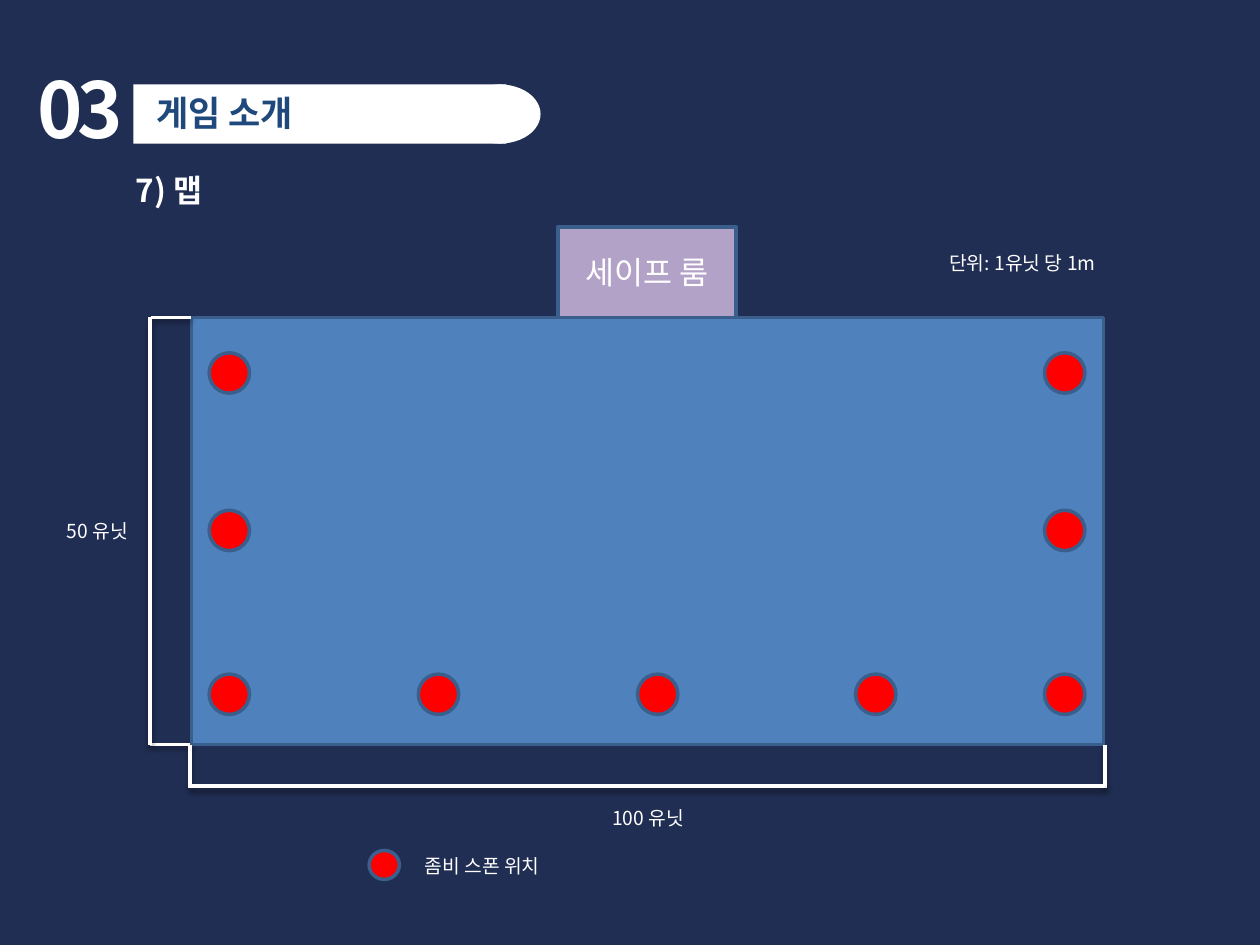
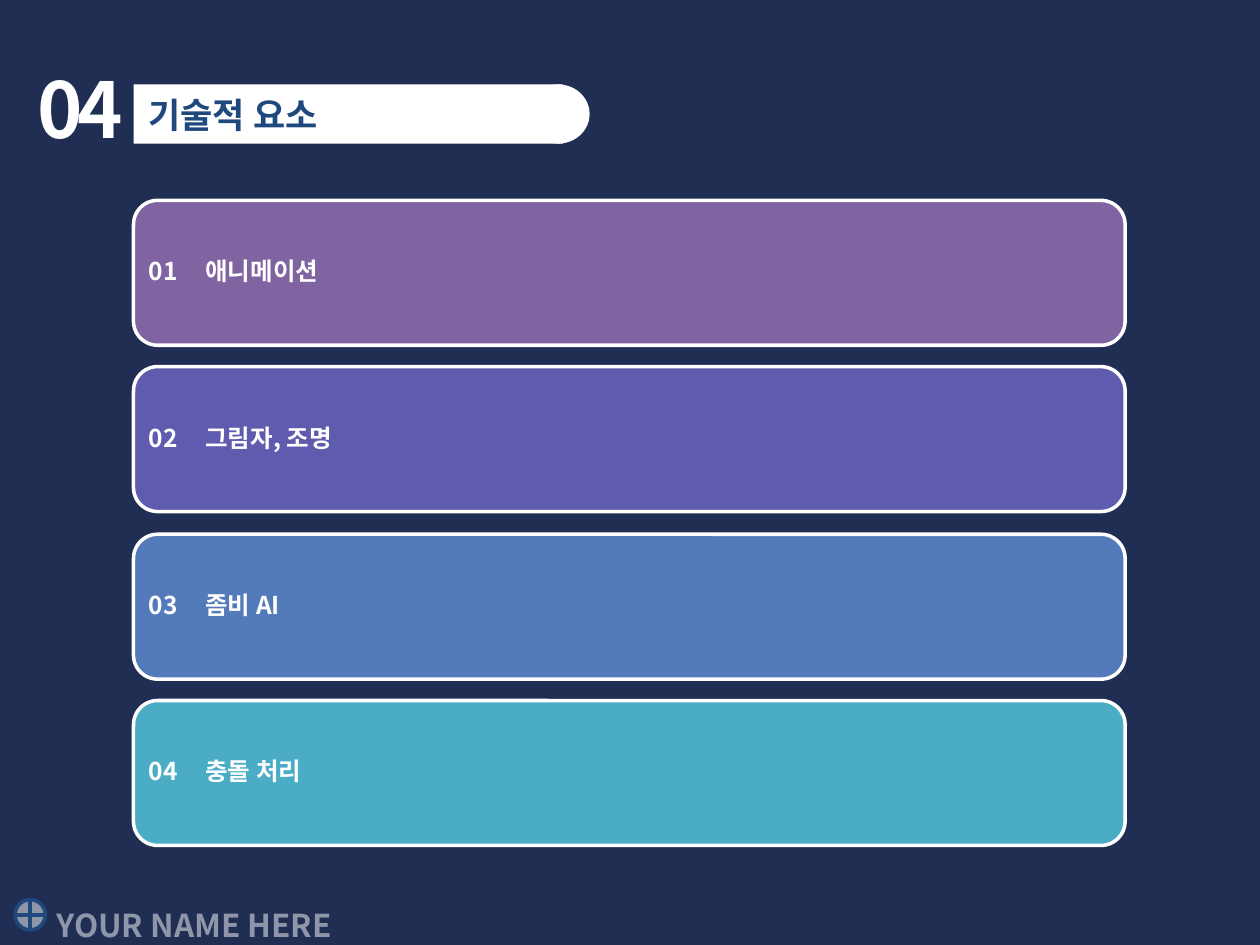
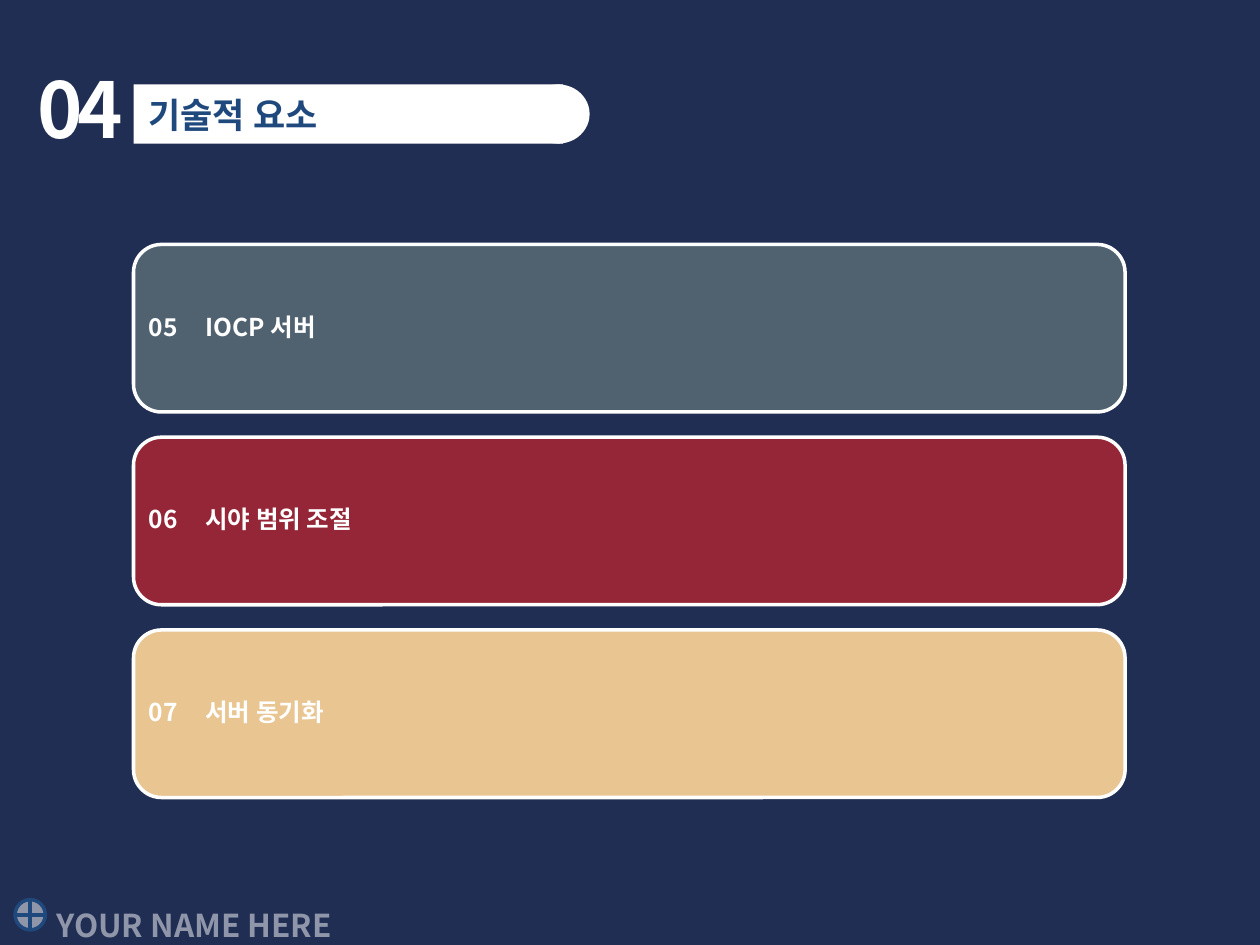
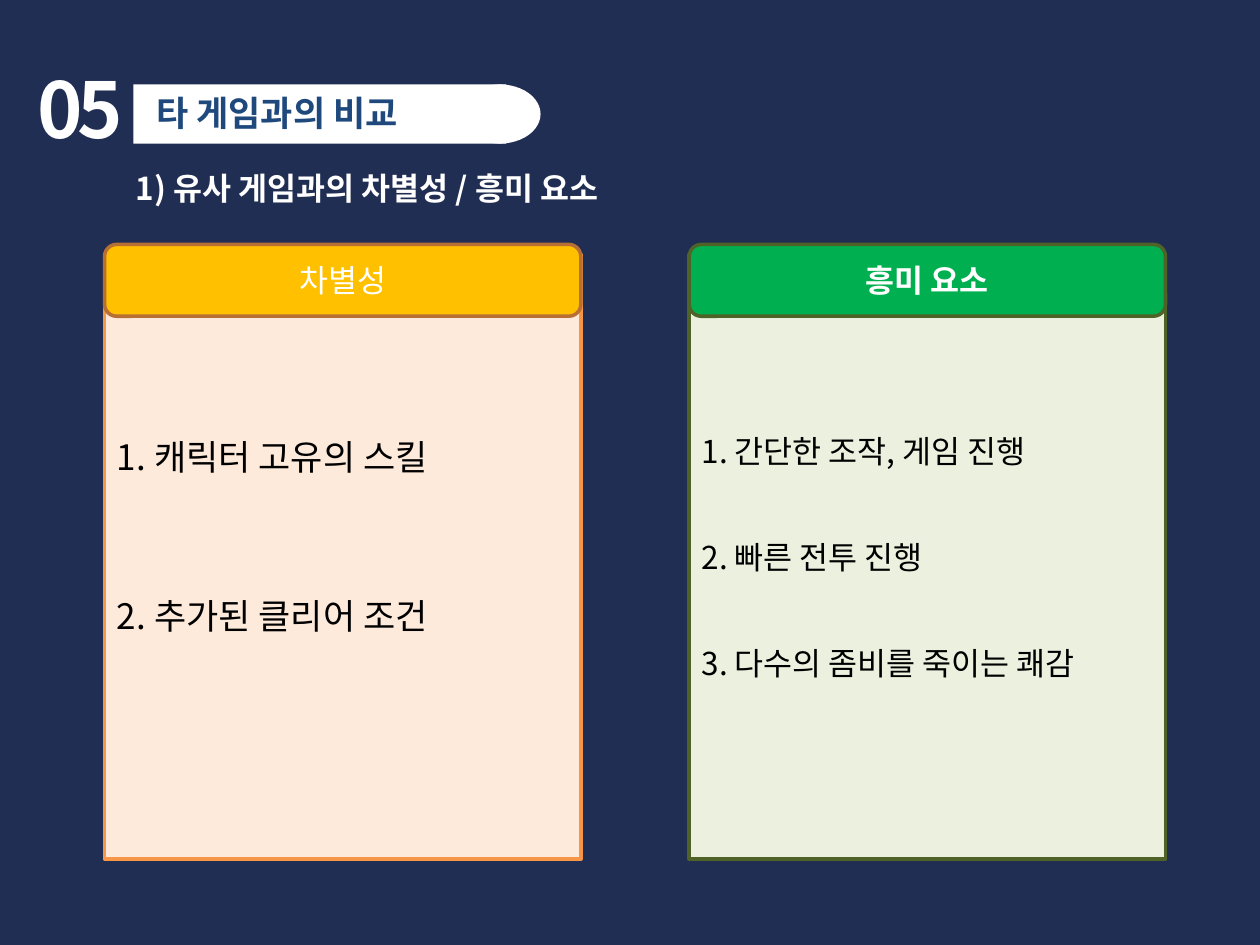
from dataclasses import dataclass
from itertools import product
from typing import NamedTuple

from lxml.etree import SubElement
from pptx import Presentation
from pptx.dml.color import RGBColor
from pptx.enum.shapes import MSO_CONNECTOR, MSO_SHAPE
from pptx.enum.text import MSO_ANCHOR, PP_ALIGN
from pptx.oxml.ns import qn
from pptx.util import Pt

PX = 9144
FONT = "Noto Sans CJK KR"
COLORS = {
    "navy": "212E53", "white": "FFFFFF", "black": "000000", "title": "1F497D",
    "map": "4F81BD", "outline": "3A5F8C", "safe_room": "B3A2C7", "zombie": "FF0000",
    "purple": "8064A2", "indigo": "5F5BAE", "blue": "537ABA", "teal": "4BACC6",
    "slate": "506270", "crimson": "952637", "sand": "E9C592",
    "cream": "FDEADA", "orange": "F79646", "amber": "FFC000", "brown": "B76F34",
    "mint": "EBF1DE", "olive": "4F6228", "green": "00B050",
}


class Box(NamedTuple):
    """A frame in px."""
    left: int
    top: int
    width: int
    height: int

    def emu(self) -> list[int]:
        """Return the frame in EMU."""
        return [side * PX for side in self]


@dataclass(frozen=True)
class TitleBand:
    """Geometry of the white title band."""
    bar: Box
    cap: Box
    label: Box


@dataclass(frozen=True)
class Topic:
    """One numbered technical topic."""
    number: str
    name: str
    color: str


@dataclass(frozen=True)
class Column:
    """One headed column of the comparison."""
    left: int
    heading: str
    heading_bold: bool
    heading_fill: str
    heading_line: str
    fill: str
    line: str
    points: tuple[str, ...]
    size: int
    gap: int
    bottom_inset: int


SHORT_BAND = TitleBand(Box(106, 67, 296, 47), Box(364, 67, 65, 47), Box(114, 68, 292, 44))
LONG_BAND = TitleBand(Box(106, 67, 341, 47), Box(418, 67, 50, 47), Box(108, 69, 347, 44))

FIRST_TOPICS = (
    Topic("01", "애니메이션", "purple"),
    Topic("02", "그림자, 조명", "indigo"),
    Topic("03", "좀비 AI", "blue"),
    Topic("04", "충돌 처리", "teal"),
)
LAST_TOPICS = (
    Topic("05", "IOCP 서버", "slate"),
    Topic("06", "시야 범위 조절", "crimson"),
    Topic("07", "서버 동기화", "sand"),
)
COLUMNS = (
    Column(83, "차별성", False, "amber", "brown", "cream", "orange",
           ("1. 캐릭터 고유의 스킬", "2. 추가된 클리어 조건"), 20, 67, 38),
    Column(547, "흥미 요소", True, "green", "olive", "mint", "olive",
           ("1. 간단한 조작, 게임 진행", "2. 빠른 전투 진행", "3. 다수의 좀비를 죽이는 쾌감"),
           18, 39, 5),
)

MAP = Box(152, 252, 724, 339)
SPAWN_POINTS = [*product((166, 829), (280, 405, 535)), *product((332, 506, 679), (535,))]
DIMENSION_LINES = (
    (152, 252, 120, 252), (151, 591, 119, 591), (119, 252, 119, 591),
    (151, 591, 151, 625), (877, 591, 877, 625), (877, 624, 151, 624),
)


def paint(fill, color: str, alpha: int = 100) -> None:
    """Make a fill solid, with an opacity in percent."""
    fill.solid()
    fill.fore_color.rgb = RGBColor.from_string(COLORS[color])
    if alpha < 100:
        SubElement(fill._xPr.find(".//" + qn("a:srgbClr")), qn("a:alpha"), val=str(alpha * 1000))


def write(shape, text: str, *, size: int, color: str = "white", bold: bool = False,
          alpha: int = 100, align=PP_ALIGN.LEFT, anchor=MSO_ANCHOR.TOP, spacing: int = 0,
          gap: int = 0, after: int = 0, line_spacing: float | None = None,
          tab: int = 0, insets: tuple[int, int, int, int] = (10, 5, 10, 5)) -> None:
    """Write formatted lines into a shape."""
    frame = shape.text_frame
    frame.word_wrap = True
    frame.vertical_anchor = anchor
    (frame.margin_left, frame.margin_top,
     frame.margin_right, frame.margin_bottom) = [inset * PX for inset in insets]
    for index, line in enumerate(text.split("\n")):
        paragraph = frame.add_paragraph() if index else frame.paragraphs[0]
        paragraph.alignment = align
        if line_spacing:
            paragraph.line_spacing = line_spacing
        if index and gap:
            paragraph.space_before = Pt(gap)
        if after:
            paragraph.space_after = Pt(after)
        if tab:
            stops = SubElement(paragraph._p.get_or_add_pPr(), qn("a:tabLst"))
            SubElement(stops, qn("a:tab"), pos=str(tab * PX), algn="l")
        run = paragraph.add_run()
        run.text = line
        run.font.size = Pt(size)
        run.font.bold = bold
        run.font.name = FONT
        paint(run.font.fill, color, alpha)
        properties = run._r.get_or_add_rPr()
        SubElement(properties, qn("a:ea"), typeface=FONT)
        if spacing:
            properties.set("spc", str(spacing))


def add_label(shapes, box: Box, text: str, **style) -> None:
    """Add a text box."""
    write(shapes.add_textbox(*box.emu()), text, **style)


def add_block(shapes, kind: MSO_SHAPE, box: Box, fill: str,
              line: str | None = None, alpha: int = 100):
    """Add a flat preset shape."""
    block = shapes.add_shape(kind, *box.emu())
    block.shadow.inherit = False
    paint(block.fill, fill, alpha)
    if line:
        paint(block.line.fill, line)
        block.line.width = Pt(2)
    else:
        block.line.fill.background()
    return block


def add_dimension(shapes, ends: tuple[int, int, int, int]) -> None:
    """Add a white dimension line with a soft shadow."""
    dimension = shapes.add_connector(MSO_CONNECTOR.STRAIGHT, *(end * PX for end in ends))
    paint(dimension.line.fill, "white")
    dimension.line.width = Pt(2)
    effects = SubElement(dimension._element.spPr, qn("a:effectLst"))
    shadow = SubElement(effects, qn("a:outerShdw"), blurRad=str(Pt(3.1)), dist=str(Pt(1.6)),
                        dir="5400000", rotWithShape="0")
    tint = SubElement(shadow, qn("a:srgbClr"), val=COLORS["black"])
    SubElement(tint, qn("a:alpha"), val="38000")


def start_slide(deck, number: str, title: str, band: TitleBand):
    """Add a slide with its number and title band, and return its shapes."""
    slide = deck.slides.add_slide(deck.slide_layouts[6])
    paint(slide.background.fill, "navy")
    shapes = slide.shapes
    add_label(shapes, Box(20, 44, 110, 84), number, size=44, bold=True, spacing=-300)
    band_shapes = shapes.add_group_shape().shapes
    add_block(band_shapes, MSO_SHAPE.RECTANGLE, band.bar, "white")
    add_block(band_shapes, MSO_SHAPE.OVAL, band.cap, "white")
    add_label(shapes, band.label, title, size=20, bold=True, color="title")
    return shapes


def add_footer(shapes) -> None:
    """Add the footer sign and name."""
    add_block(shapes, MSO_SHAPE.FLOWCHART_OR, Box(12, 714, 24, 24), "white", "title", 50)
    add_label(shapes, Box(35, 714, 283, 40), "YOUR NAME HERE", size=18, bold=True, alpha=50)


def build_map(deck) -> None:
    """Build the game map slide."""
    shapes = start_slide(deck, "03", "게임 소개", SHORT_BAND)
    add_label(shapes, Box(98, 131, 78, 40), "7) 맵", size=18, bold=True)
    add_block(shapes, MSO_SHAPE.RECTANGLE, MAP, "map", "outline")
    safe_room = add_block(shapes, MSO_SHAPE.RECTANGLE, Box(443, 180, 141, 72),
                          "safe_room", "outline")
    write(safe_room, "세이프 룸", size=18, align=PP_ALIGN.CENTER, anchor=MSO_ANCHOR.MIDDLE)
    for left, top in SPAWN_POINTS:
        add_block(shapes, MSO_SHAPE.OVAL, Box(left, top, 32, 32), "zombie", "outline")
    add_block(shapes, MSO_SHAPE.OVAL, Box(293, 675, 24, 23), "zombie", "outline")
    add_label(shapes, Box(327, 670, 165, 34), "좀비 스폰 위치", size=11,
              anchor=MSO_ANCHOR.MIDDLE)
    for ends in DIMENSION_LINES:
        add_dimension(shapes, ends)
    for box, measure in (
        (Box(710, 194, 203, 30), "단위: 1유닛 당 1m"),
        (Box(28, 388, 99, 66), "50 유닛"),
        (Box(465, 616, 99, 66), "100 유닛"),
    ):
        add_label(shapes, box, measure, size=11, align=PP_ALIGN.CENTER,
                  anchor=MSO_ANCHOR.MIDDLE)


def build_topics(deck, topics: tuple[Topic, ...], top: int, height: int) -> None:
    """Build a slide of stacked topic cards."""
    shapes = start_slide(deck, "04", "기술적 요소", LONG_BAND)
    add_footer(shapes)
    cards = shapes.add_group_shape().shapes
    for index, topic in enumerate(topics):
        card = Box(106, round(top + index * height * 1.15), 787, height)
        add_block(cards, MSO_SHAPE.ROUNDED_RECTANGLE, card, topic.color, "white")
        add_label(cards, Box(card.left + 6, card.top + 6, card.width - 12, height - 12),
                  f"{topic.number}\t{topic.name}", size=14, bold=True,
                  anchor=MSO_ANCHOR.MIDDLE, line_spacing=0.9, after=5, tab=45,
                  insets=(6, 6, 6, 6))


def build_comparison(deck) -> None:
    """Build the comparison slide."""
    shapes = start_slide(deck, "05", "타 게임과의 비교", SHORT_BAND)
    add_label(shapes, Box(98, 129, 438, 40), "1) 유사 게임과의 차별성 / 흥미 요소",
              size=18, bold=True)
    for column in COLUMNS:
        body = add_block(shapes, MSO_SHAPE.RECTANGLE, Box(column.left, 202, 378, 480),
                         column.fill, column.line)
        write(body, "\n".join(column.points), size=column.size, color="black",
              anchor=MSO_ANCHOR.MIDDLE, gap=column.gap,
              insets=(10, 5, 10, column.bottom_inset))
        heading = add_block(shapes, MSO_SHAPE.ROUNDED_RECTANGLE,
                            Box(column.left, 194, 378, 57),
                            column.heading_fill, column.heading_line)
        write(heading, column.heading, size=18, bold=column.heading_bold,
              align=PP_ALIGN.CENTER, anchor=MSO_ANCHOR.MIDDLE)


def main() -> None:
    """Build and save the deck."""
    deck = Presentation()
    deck.slide_width, deck.slide_height = 1000 * PX, 750 * PX
    build_map(deck)
    build_topics(deck, FIRST_TOPICS, 159, 115)
    build_topics(deck, LAST_TOPICS, 194, 133)
    build_comparison(deck)
    deck.save("out.pptx")


if __name__ == "__main__":
    main()
